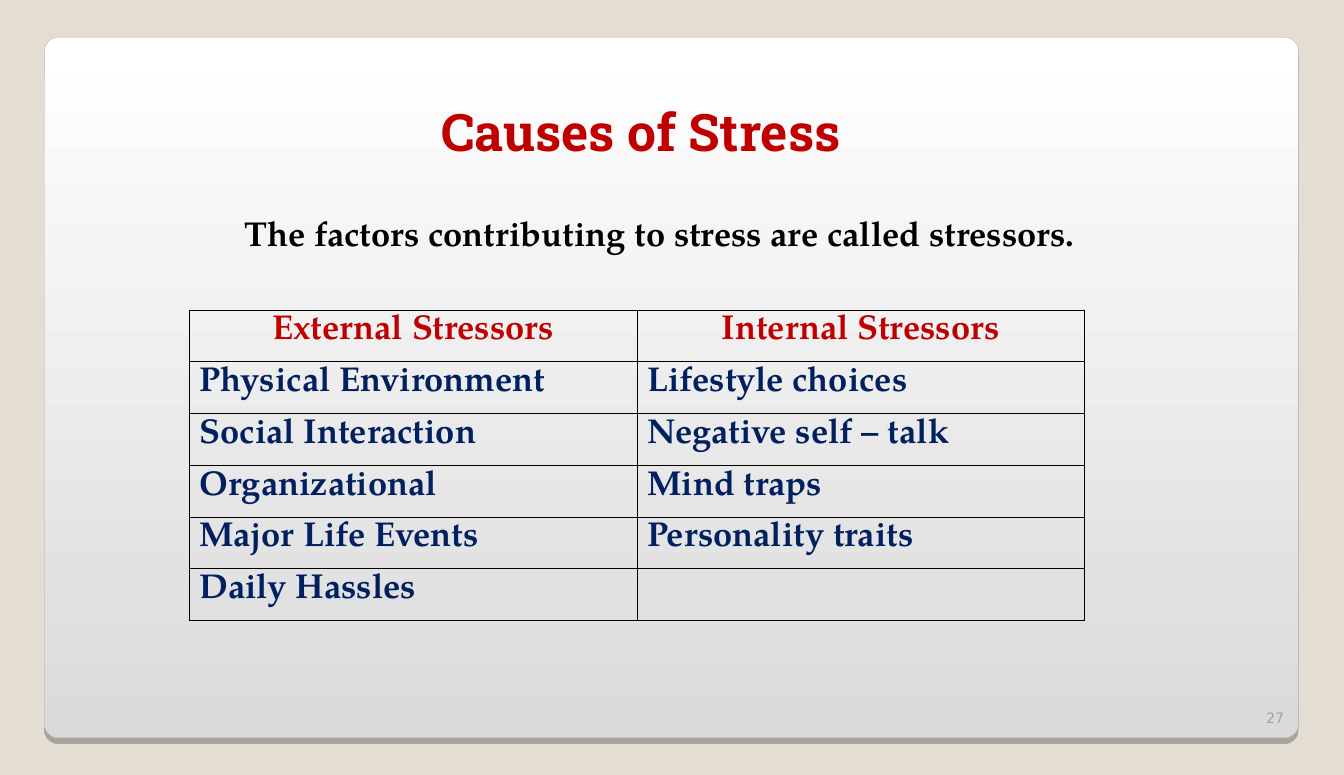
from lxml import etree
from pptx import Presentation
from pptx.dml.color import RGBColor
from pptx.enum.shapes import MSO_SHAPE
from pptx.enum.text import MSO_ANCHOR, PP_ALIGN
from pptx.oxml.ns import qn
from pptx.util import Inches, Pt

ROUNDED = MSO_SHAPE.ROUNDED_RECTANGLE
TOP, BOTTOM = MSO_ANCHOR.TOP, MSO_ANCHOR.BOTTOM
LEFT, CENTER, RIGHT = PP_ALIGN.LEFT, PP_ALIGN.CENTER, PP_ALIGN.RIGHT

HEADING_FONT = "Roboto Slab"
BODY_FONT = "TeX Gyre Pagella"
NUMBER_FONT = "DejaVu Sans"
RED, NAVY, BLACK = "C00000", "002060", "000000"
ROW_HEIGHT, COLUMN_WIDTH = 0.5, 4.33

STRESSORS = [
    ("External Stressors", "Internal Stressors"),
    ("Physical Environment", "Lifestyle choices"),
    ("Social Interaction", "Negative self – talk"),
    ("Organizational", "Mind traps"),
    ("Major Life Events", "Personality traits"),
    ("Daily Hassles", ""),
]


def rgb(color):
    """Turn a hex string into a colour."""
    return RGBColor.from_string(color)


def box(*lengths):
    """Turn left, top, width and height in inches into lengths."""
    return [Inches(length) for length in lengths]


def add_child(parent, tag, **attributes):
    """Append a DrawingML element with the given attributes."""
    return etree.SubElement(parent, qn(f"a:{tag}"), attributes)


def write(frame, text, size, font, color, align=LEFT, bold=True, anchor=TOP):
    """Fill a text frame with one formatted run."""
    frame.word_wrap = True
    frame.vertical_anchor = anchor
    paragraph = frame.paragraphs[0]
    paragraph.alignment = align
    run = paragraph.add_run()
    run.text = text
    run.font.size = Pt(size)
    run.font.name = font
    run.font.bold = bold
    run.font.color.rgb = rgb(color)


def add_text(slide, place, *content, **style):
    """Add a text box holding one formatted run."""
    write(slide.shapes.add_textbox(*box(*place)).text_frame, *content, **style)


def add_panel(slide):
    """Add the rounded gradient panel with its hard shadow."""
    panel = slide.shapes.add_shape(ROUNDED, *box(0.43, 0.36, 12.13, 6.78))
    panel.adjustments[0] = 0.02
    panel.fill.gradient()
    panel.fill.gradient_angle = 270
    for stop, position, color in zip(panel.fill.gradient_stops, (0, 1), ("FFFFFF", "DADADA")):
        stop.position = position
        stop.color.rgb = rgb(color)
    panel.line.color.rgb = rgb("A4A3A3")
    panel.line.width = Pt(0.17)
    panel.shadow.inherit = False
    effects = panel._element.spPr.find(qn("a:effectLst"))
    shadow = add_child(effects, "outerShdw", blurRad="0", dist=str(Pt(4)),
                       dir="5400000", algn="t", rotWithShape="0")
    add_child(add_child(shadow, "srgbClr", val=BLACK), "alpha", val="25000")


def add_title(slide, text):
    """Place and format the title placeholder."""
    title = slide.shapes.title
    title.left, title.top, title.width, title.height = box(4.17, 0.92, 4.67, 0.7)
    write(title.text_frame, text, 36, HEADING_FONT, RED)


def outline(cell):
    """Draw thin black borders on all sides of a cell."""
    properties = cell._tc.get_or_add_tcPr()
    for side in ("lnL", "lnR", "lnT", "lnB"):
        border = add_child(properties, side, w=str(Pt(0.45)))
        add_child(add_child(border, "solidFill"), "srgbClr", val=BLACK)


def add_stressor_table(slide, rows):
    """Add the table with a red header row and navy entries."""
    columns = len(rows[0])
    place = box(1.83, 3, columns * COLUMN_WIDTH, len(rows) * ROW_HEIGHT)
    table = slide.shapes.add_table(len(rows), columns, *place).table
    table.first_row = table.horz_banding = False
    for r, row in enumerate(rows):
        color, align = (NAVY, LEFT) if r else (RED, CENTER)
        for c, text in enumerate(row):
            cell = table.cell(r, c)
            outline(cell)
            cell.fill.background()
            if text:
                write(cell.text_frame, text, 24, BODY_FONT, color, align)


def main():
    """Build the slide and save it."""
    deck = Presentation()
    deck.slide_width, deck.slide_height = Inches(13), Inches(7.5)
    slide = deck.slides.add_slide(deck.slide_layouts[5])
    slide.background.fill.solid()
    slide.background.fill.fore_color.rgb = rgb("E3DED1")

    add_panel(slide)
    add_text(slide, (11.87, 6.68, 0.65, 0.4), "27", 10, NUMBER_FONT, "A7A399",
             align=RIGHT, bold=False, anchor=BOTTOM)
    add_title(slide, "Causes of Stress")
    add_text(slide, (1.42, 2, 9.92, 0.5),
             "The factors contributing to stress are called stressors.",
             24, BODY_FONT, BLACK, align=CENTER)
    add_stressor_table(slide, STRESSORS)
    # The title placeholder comes first in the tree, so it is lifted above the panel.
    slide.shapes._spTree.append(slide.shapes.title._element)
    deck.save("out.pptx")


if __name__ == "__main__":
    main()
